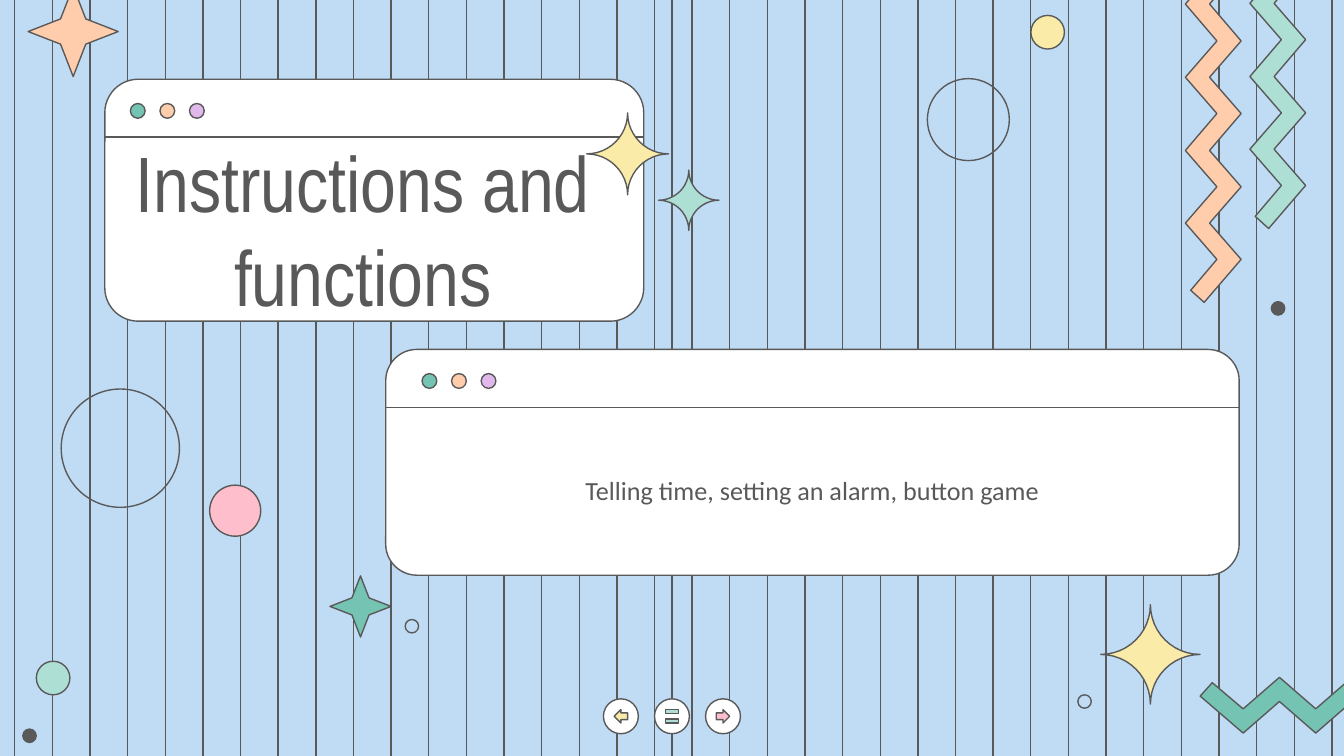
from math import cos, hypot, pi, sin

from pptx import Presentation
from pptx.dml.color import RGBColor
from pptx.enum.shapes import MSO_CONNECTOR, MSO_SHAPE as Preset
from pptx.enum.text import MSO_ANCHOR, PP_ALIGN
from pptx.oxml.ns import qn
from pptx.util import Pt
from lxml.etree import SubElement

PX = 4572  # 200 px to the inch
WIDTH, HEIGHT = 2000, 1125

SKY = RGBColor(0xC0, 0xDC, 0xF5)
INK = RGBColor(0x59, 0x59, 0x59)
WHITE = RGBColor(0xFF, 0xFF, 0xFF)
TEAL = RGBColor(0x74, 0xC3, 0xB3)
MINT = RGBColor(0xAD, 0xDF, 0xD5)
PEACH = RGBColor(0xFF, 0xCD, 0xAB)
LILAC = RGBColor(0xE1, 0xB8, 0xEC)
YELLOW = RGBColor(0xFA, 0xEB, 0xA8)
PINK = RGBColor(0xFF, 0xBE, 0xCB)

prs = Presentation()
prs.slide_width, prs.slide_height = WIDTH * PX, HEIGHT * PX
slide = prs.slides.add_slide(prs.slide_layouts[6])
slide.background.fill.solid()
slide.background.fill.fore_color.rgb = SKY
shapes = slide.shapes


def finish(shape, fill=None):
    """Give a shape the thin ink outline, no shadow and a fill, if any."""
    shape.shadow.inherit = False
    shape.line.color.rgb = INK
    shape.line.width = Pt(0.75)
    if fill is None:
        shape.fill.background()
    else:
        shape.fill.solid()
        shape.fill.fore_color.rgb = fill


def add_rule(x1, y1, x2, y2):
    rule = shapes.add_connector(MSO_CONNECTOR.STRAIGHT, x1 * PX, y1 * PX, x2 * PX, y2 * PX)
    rule.line.color.rgb = INK
    rule.line.width = Pt(0.75)
    SubElement(rule._element.spPr, qn("a:effectLst"))


# Striped backdrop, with one extra stripe on the centre line
for x in [*range(22, WIDTH, 56), WIDTH // 2]:
    add_rule(x, 0, x, HEIGHT)

# Browser-like cards: frame, first dot, text box, text, font, size
cards = [
    ((156, 118, 802, 360), 194, (156, 230, 768, 220),
     "Instructions and functions", "Arial Narrow", 42),
    ((574, 520, 1270, 336), 628, (592, 634, 1234, 190),
     "Telling time, setting an alarm, button game", "Calibri", 14),
]
for (left, top, width, height), first_dot, text_area, words, font, size in cards:
    window = shapes.add_shape(Preset.ROUNDED_RECTANGLE,
                              left * PX, top * PX, width * PX, height * PX)
    window.adjustments[0] = 0.138
    finish(window, WHITE)
    add_rule(left, top + 86, left + width, top + 86)
    for i, colour in enumerate((TEAL, PEACH, LILAC)):
        dot = shapes.add_shape(Preset.OVAL, (first_dot + 44 * i) * PX, (top + 36) * PX,
                               22 * PX, 22 * PX)
        finish(dot, colour)

    frame = shapes.add_textbox(*(n * PX for n in text_area)).text_frame
    frame.word_wrap = True
    frame.vertical_anchor = MSO_ANCHOR.MIDDLE
    frame.margin_left = frame.margin_right = 20 * PX
    frame.margin_top = frame.margin_bottom = 20 * PX
    paragraph = frame.paragraphs[0]
    paragraph.alignment = PP_ALIGN.CENTER
    run = paragraph.add_run()
    run.text = words
    run.font.name = font
    run.font.size = Pt(size)
    run.font.color.rgb = INK

# Sparkles (four inward quarter arcs) and zigzag ribbons, as point lists in px
outlines = []
for cx, cy, r, colour in [(1712, 974, 74, YELLOW), (934, 229, 61, YELLOW),
                          (1025, 298, 45, MINT)]:
    points = []
    for quarter in range(4):
        turn = quarter * pi / 2
        corner_x = cx + hypot(r, r) * cos(turn - pi / 4)
        corner_y = cy + hypot(r, r) * sin(turn - pi / 4)
        for step in range(12):
            angle = turn + pi - step * pi / 24
            points.append((corner_x + r * cos(angle), corner_y + r * sin(angle)))
    outlines.append((points, colour))

bends = [64 + i * 380 // 7 for i in range(8)]
lower = [(along, 36 if i % 2 else 83) for i, along in enumerate(bends)]
upper = [(along, 0 if i % 2 else 47) for i, along in enumerate(bends)]
ribbon = [(0, 28), *lower, (490, 76), (507, 56), *reversed(upper), (18, 8)]
for left, bottom, colour in [(1764, 450, PEACH), (1860, 340, MINT)]:
    outlines.append(([(left + across, bottom - along) for along, across in ribbon], colour))
outlines.append(([(1786 + along, 1008 + across) for along, across in ribbon], TEAL))

for points, colour in outlines:
    corners = [(round(x * PX), round(y * PX)) for x, y in points]
    builder = shapes.build_freeform(*corners[0])
    builder.add_line_segments(corners[1:], close=True)
    finish(builder.convert_to_shape(), colour)

# Scattered circles and stars, then the navigation buttons
ornaments = [
    (Preset.OVAL, 1604, 1034, 20, 20, None),
    (Preset.OVAL, 91, 579, 176, 176, None),
    (Preset.OVAL, 34, 1085, 20, 20, INK),
    (Preset.OVAL, 54, 984, 50, 50, MINT),
    (Preset.OVAL, 1534, 23, 50, 50, YELLOW),
    (Preset.OVAL, 1892, 449, 20, 20, INK),
    (Preset.OVAL, 1380, 117, 122, 122, None),
    (Preset.OVAL, 312, 722, 76, 76, PINK),
    (Preset.OVAL, 603, 922, 20, 20, None),
    (Preset.STAR_4_POINT, 491, 857, 91, 91, TEAL),
    (Preset.STAR_4_POINT, 42, -20, 134, 134, PEACH),
    *((Preset.OVAL, left, 1040, 52, 52, WHITE) for left in (898, 974, 1050)),
    (Preset.LEFT_ARROW, 914, 1056, 20, 20, YELLOW),
    (Preset.RECTANGLE, 990, 1056, 20, 6, MINT),
    (Preset.RECTANGLE, 990, 1070, 20, 6, MINT),
    (Preset.RIGHT_ARROW, 1066, 1056, 20, 20, PINK),
]
for preset, left, top, width, height, colour in ornaments:
    ornament = shapes.add_shape(preset, left * PX, top * PX, width * PX, height * PX)
    if preset == Preset.STAR_4_POINT:
        ornament.adjustments[0] = 0.198
    finish(ornament, colour)

prs.save("out.pptx")
